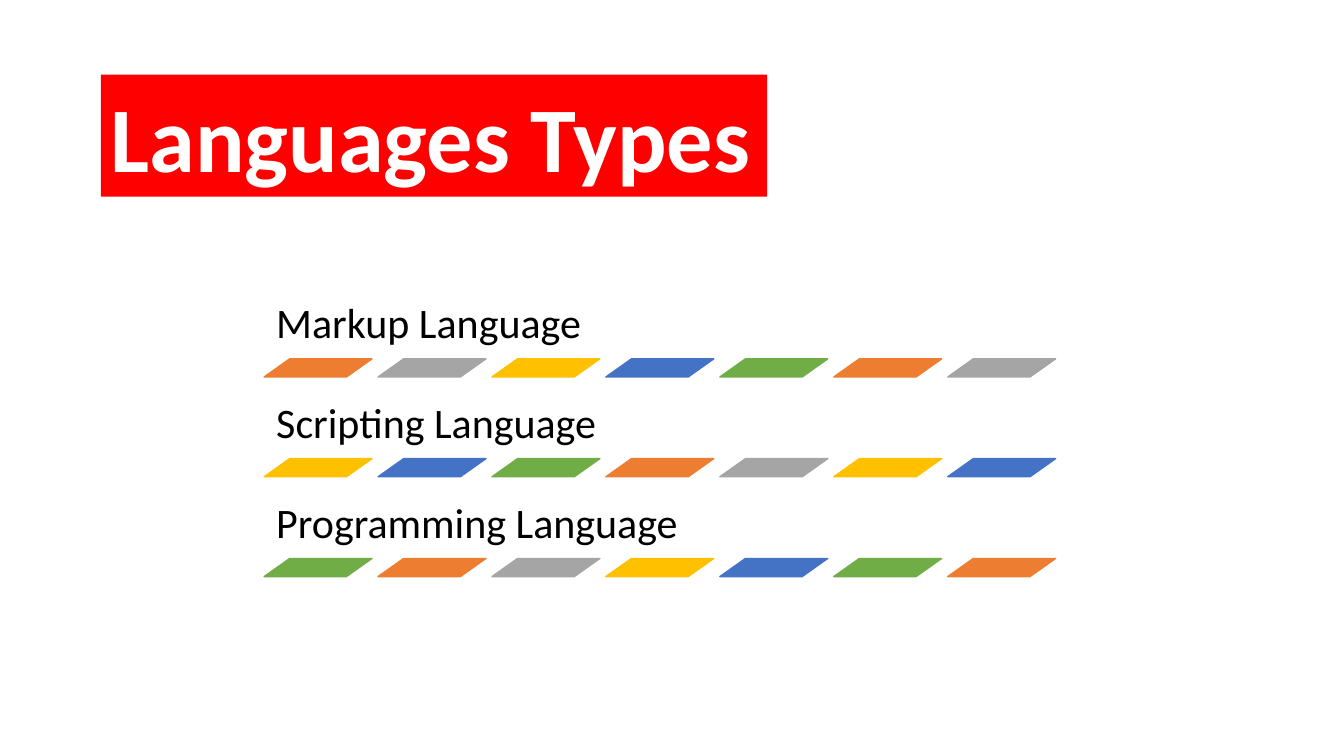
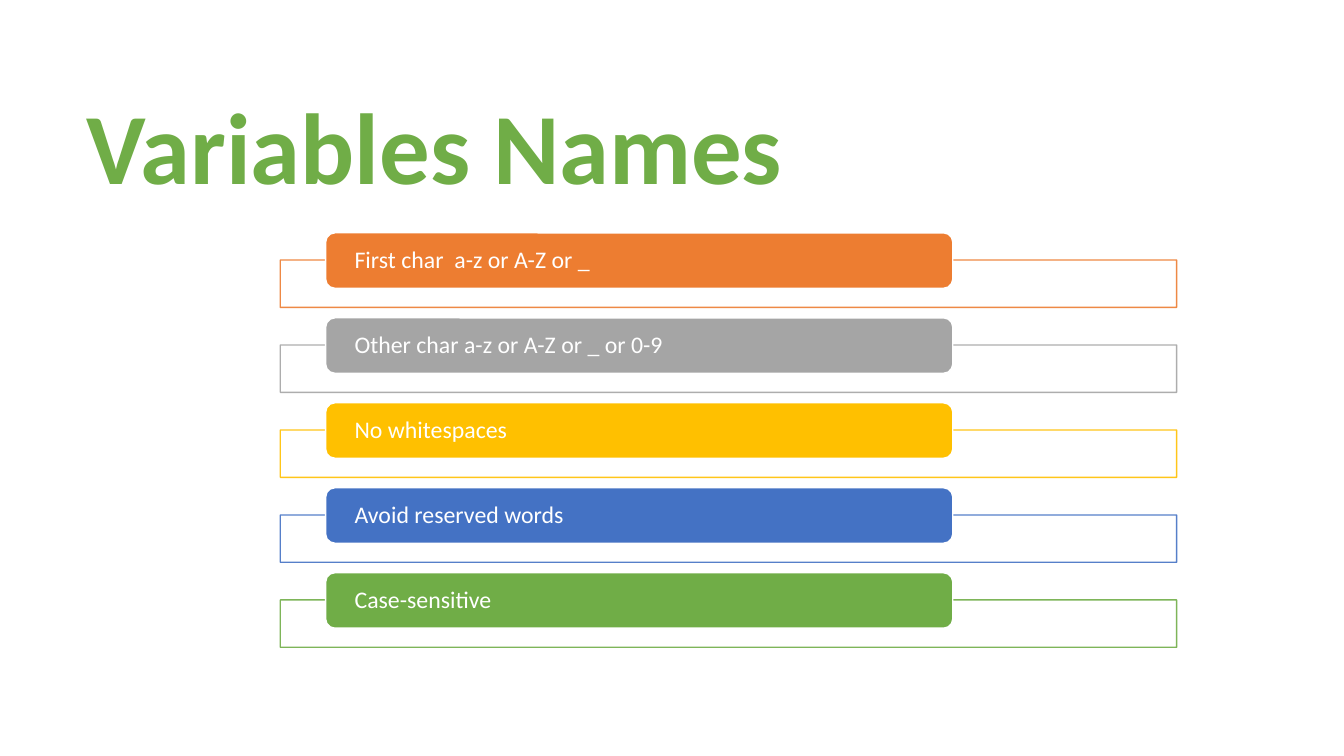
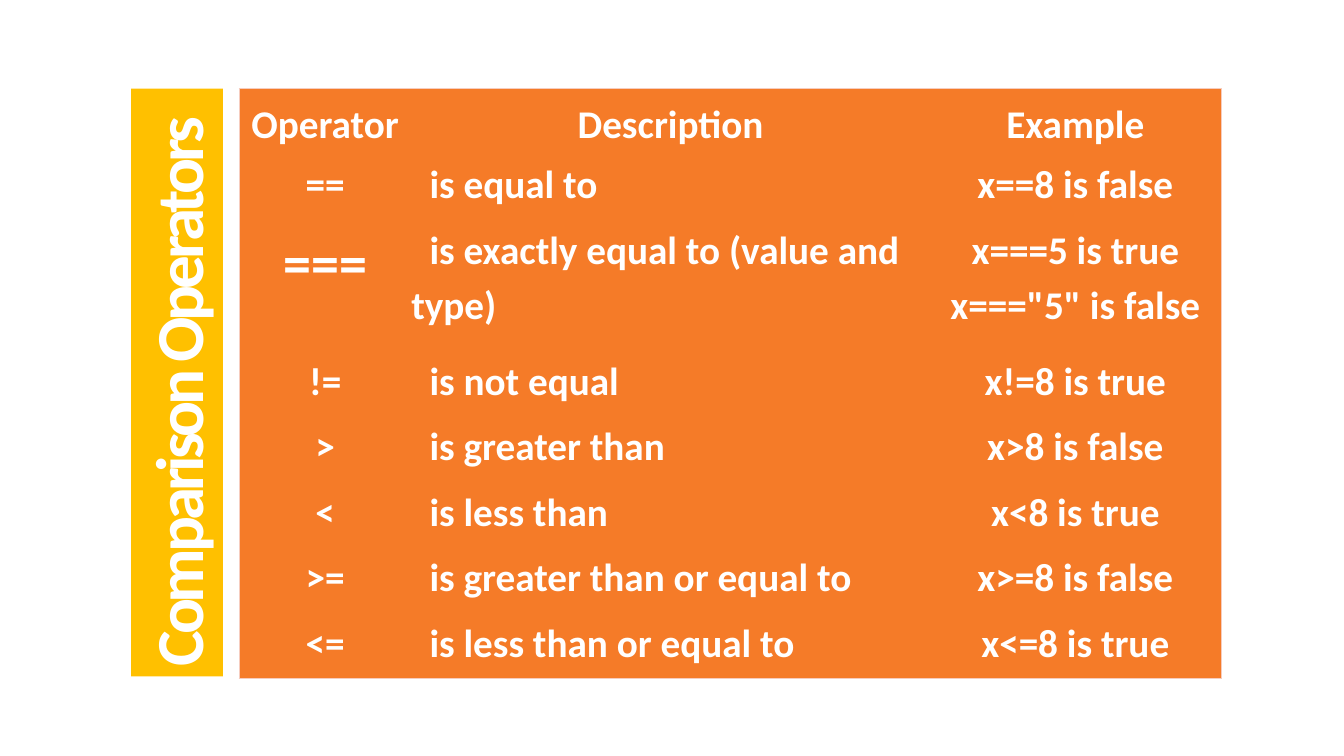
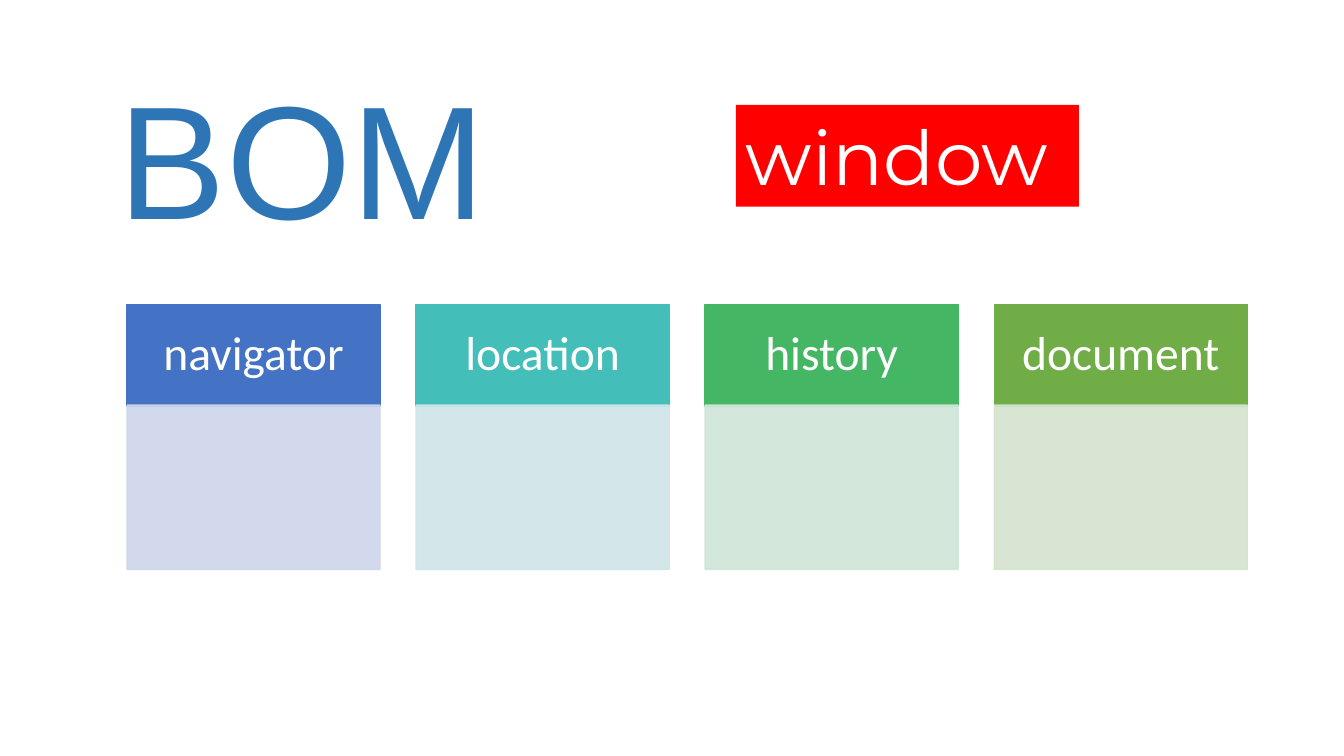
"""Build four slides on language types, variable names, operators and the BOM."""
from lxml.etree import SubElement
from pptx import Presentation
from pptx.dml.color import RGBColor
from pptx.enum.shapes import MSO_SHAPE
from pptx.enum.text import MSO_ANCHOR, MSO_AUTO_SIZE, PP_ALIGN
from pptx.oxml.ns import qn
from pptx.util import Inches, Pt

WHITE, BLACK, RED, GREEN, GOLD = "FFFFFF", "000000", "FF0000", "70AD47", "FFC000"
BLUE, TITLE_BLUE = "4472C4", "2E75B6"
ACCENTS = ["ED7D31", "A5A5A5", GOLD, BLUE, GREEN]
TABLE_FILL, TABLE_EDGE = "F57B28", "F6CCBE"
TITLE_INSETS = (0.1, 0.05, 0.1, 0.05)

LANGUAGES = ["Markup Language", "Scripting Language", "Programming Language"]
NAME_RULES = [
    "First char  a-z or A-Z or _",
    "Other char a-z or A-Z or _ or 0-9",
    "No whitespaces",
    "Avoid reserved words",
    "Case-sensitive",
]
OPERATORS = [
    ("Operator", "Description", "Example"),
    ("==", "is equal to", "x==8 is false"),
    ("===", "is exactly equal to (value and type)", 'x===5 is true\nx==="5" is false'),
    ("!=", "is not equal", "x!=8 is true"),
    (">", "is greater than", "x>8 is false"),
    ("<", "is less than", "x<8 is true"),
    (">=", "is greater than or equal to", "x>=8 is false"),
    ("<=", "is less than or equal to", "x<=8 is true"),
]
COLUMN_WIDTHS = [1.71, 5.14, 2.89]
ROW_HEIGHT = 0.65
WINDOW_PARTS = [
    ("navigator", BLUE, "CFD5EA"),
    ("location", "43BEB9", "CFE5E8"),
    ("history", "45B664", "CFE5D8"),
    ("document", GREEN, "D5E3CF"),
]


def color(value):
    """Turn a hex string into a colour."""
    return RGBColor.from_string(value)


def write(frame, text, size=28, font="Calibri", ink=WHITE, bold=False,
          align=PP_ALIGN.LEFT, line=None, after=None, tracking=None, indent=None):
    """Put one formatted paragraph into a text frame."""
    para = frame.paragraphs[0]
    para.text = text
    para.alignment = align
    para.line_spacing = line
    if after is not None:
        para.space_after = Pt(after)
    if indent:
        para._p.get_or_add_pPr().set("indent", str(Inches(indent)))
    for span in para.runs:
        span.font.name, span.font.size, span.font.bold = font, Pt(size), bold
        span.font.color.rgb = color(ink)
        if tracking:
            span._r.get_or_add_rPr().set("spc", str(tracking * 100))


def set_frame(frame, insets, anchor, wrap=True):
    """Set the margins, anchor and wrapping of a text frame."""
    frame.auto_size = MSO_AUTO_SIZE.NONE
    frame.word_wrap = wrap
    frame.vertical_anchor = anchor
    (frame.margin_left, frame.margin_top,
     frame.margin_right, frame.margin_bottom) = map(Inches, insets)


def add_title_page(deck, text, place, fill, wrap=True, rotation=0, **style):
    """Add a title-only page and format its title."""
    page = deck.slides.add_slide(deck.slide_layouts[5])
    title = page.shapes.title
    title.left, title.top, title.width, title.height = map(Inches, place)
    title.rotation = rotation
    title.fill.solid()
    title.fill.fore_color.rgb = color(fill)
    set_frame(title.text_frame, TITLE_INSETS, MSO_ANCHOR.TOP, wrap)
    write(title.text_frame, text, **style)
    return page


def add_box(page, kind, place, fill, line=None, opacity=None):
    """Add a flat shape with an optional outline and opacity."""
    box = page.shapes.add_shape(kind, *map(Inches, place))
    box.shadow.inherit = False
    box.fill.solid()
    box.fill.fore_color.rgb = color(fill)
    if line:
        box.line.color.rgb = color(line)
        box.line.width = Pt(1)
    else:
        box.line.fill.background()
    if opacity:
        for tint in box._element.spPr.iter(qn("a:srgbClr")):
            SubElement(tint, qn("a:alpha"), val=str(opacity * 1000))
    return box


def add_border(cell, side, line):
    """Draw one cell edge, or hide it when no colour is given."""
    edge = SubElement(cell._tc.get_or_add_tcPr(), qn(f"a:ln{side}"), w=str(Pt(0.5)))
    if line:
        SubElement(SubElement(edge, qn("a:solidFill")), qn("a:srgbClr"), val=line)
    else:
        SubElement(edge, qn("a:noFill"))


def build_languages(deck):
    """List language types above rows of slanted bars."""
    page = add_title_page(deck, "Languages Types", (1, 0.74, 6.61, 1.21), RED,
                          wrap=False, size=66, bold=True)
    left, bars = 2.62, 7
    for row, language in enumerate(LANGUAGES):
        top = 2.84 + row * 0.99
        label = page.shapes.add_textbox(*map(Inches, (left, top, 8, 0.73)))
        set_frame(label.text_frame, [0.12] * 4, MSO_ANCHOR.BOTTOM)
        write(label.text_frame, language, size=30, ink=BLACK, line=0.9)
        for column in range(bars):
            accent = ACCENTS[(row * bars + column) % len(ACCENTS)]
            place = (left + column * 1.13, top + 0.72, 1.07, 0.18)
            bar = add_box(page, MSO_SHAPE.PARALLELOGRAM, place, accent, accent)
            bar.adjustments[0] = 1.41


def build_names(deck):
    """Show each naming rule as a tab on an outlined frame."""
    page = add_title_page(deck, "Variables Names", (0.76, 0.78, 7.17, 1.31), WHITE,
                          wrap=False, size=72, bold=True, ink=GREEN)
    for row, (rule, accent) in enumerate(zip(NAME_RULES, ACCENTS)):
        top = 2.31 + row * 0.843
        add_box(page, MSO_SHAPE.RECTANGLE, (2.78, top + 0.27, 8.89, 0.47), WHITE, accent, 90)
        tab = add_box(page, MSO_SHAPE.ROUNDED_RECTANGLE, (3.23, top, 6.22, 0.55), accent, WHITE)
        set_frame(tab.text_frame, (0.26, 0, 0.26, 0), MSO_ANCHOR.MIDDLE)
        write(tab.text_frame, rule, size=17, line=0.9)


def build_operators(deck):
    """Set the operator table beside an upright title."""
    page = add_title_page(deck, "Comparison Operators", (-1.16, 3.34, 5.83, 0.91), GOLD,
                          rotation=270, size=48, bold=True, tracking=-3)
    last_row, last_column = len(OPERATORS) - 1, len(COLUMN_WIDTHS) - 1
    place = (2.37, 0.88, sum(COLUMN_WIDTHS), ROW_HEIGHT * (len(OPERATORS) + 1))
    table = page.shapes.add_table(len(OPERATORS), len(COLUMN_WIDTHS), *map(Inches, place)).table
    for column, width in zip(table.columns, COLUMN_WIDTHS):
        column.width = Inches(width)
    for row, texts in enumerate(OPERATORS):
        tall = any("\n" in text for text in texts)
        table.rows[row].height = Inches(ROW_HEIGHT * (2 if tall else 1))
        for column, text in enumerate(texts):
            cell = table.cell(row, column)
            outer = {"L": column == 0, "R": column == last_column,
                     "T": row == 0, "B": row == last_row}
            for side, shown in outer.items():
                add_border(cell, side, TABLE_EDGE if shown else None)
            cell.fill.solid()
            cell.fill.fore_color.rgb = color(TABLE_FILL)
            cell.margin_left = cell.margin_right = cell.margin_top = cell.margin_bottom = 0
            cell.vertical_anchor = MSO_ANCHOR.TOP if row else MSO_ANCHOR.MIDDLE
            described = row > 0 and column == 1
            write(cell.text_frame, text, size=40 if text == "===" else 28, bold=True,
                  align=PP_ALIGN.LEFT if described else PP_ALIGN.CENTER,
                  line=1.15, after=10, indent=0.18 if described else None)


def build_window(deck):
    """Show the parts of the window object as cards."""
    page = add_title_page(deck, "BOM", (1.08, 0.53, 4.04, 2.04), WHITE,
                          size=115, font="Arial", ink=TITLE_BLUE)
    for column, (name, accent, tint) in enumerate(WINDOW_PARTS):
        left = 1.26 + column * 2.867
        head = add_box(page, MSO_SHAPE.RECTANGLE, (left, 3.02, 2.51, 1.01), accent, accent)
        set_frame(head.text_frame, (0.26, 0.15, 0.26, 0.15), MSO_ANCHOR.MIDDLE)
        write(head.text_frame, name, size=34, align=PP_ALIGN.CENTER, line=0.9)
        add_box(page, MSO_SHAPE.RECTANGLE, (left, 4.02, 2.51, 1.63), tint, tint, 90)
    window = add_box(page, MSO_SHAPE.RECTANGLE, (7.3, 1.04, 3.4, 1.01), RED)
    set_frame(window.text_frame, TITLE_INSETS, MSO_ANCHOR.TOP)
    write(window.text_frame, "window", size=54, font="Montserrat")


def main():
    """Build and save the deck."""
    deck = Presentation()
    deck.slide_width, deck.slide_height = Inches(13.33), Inches(7.5)
    for build in (build_languages, build_names, build_operators, build_window):
        build(deck)
    deck.save("out.pptx")


if __name__ == "__main__":
    main()
